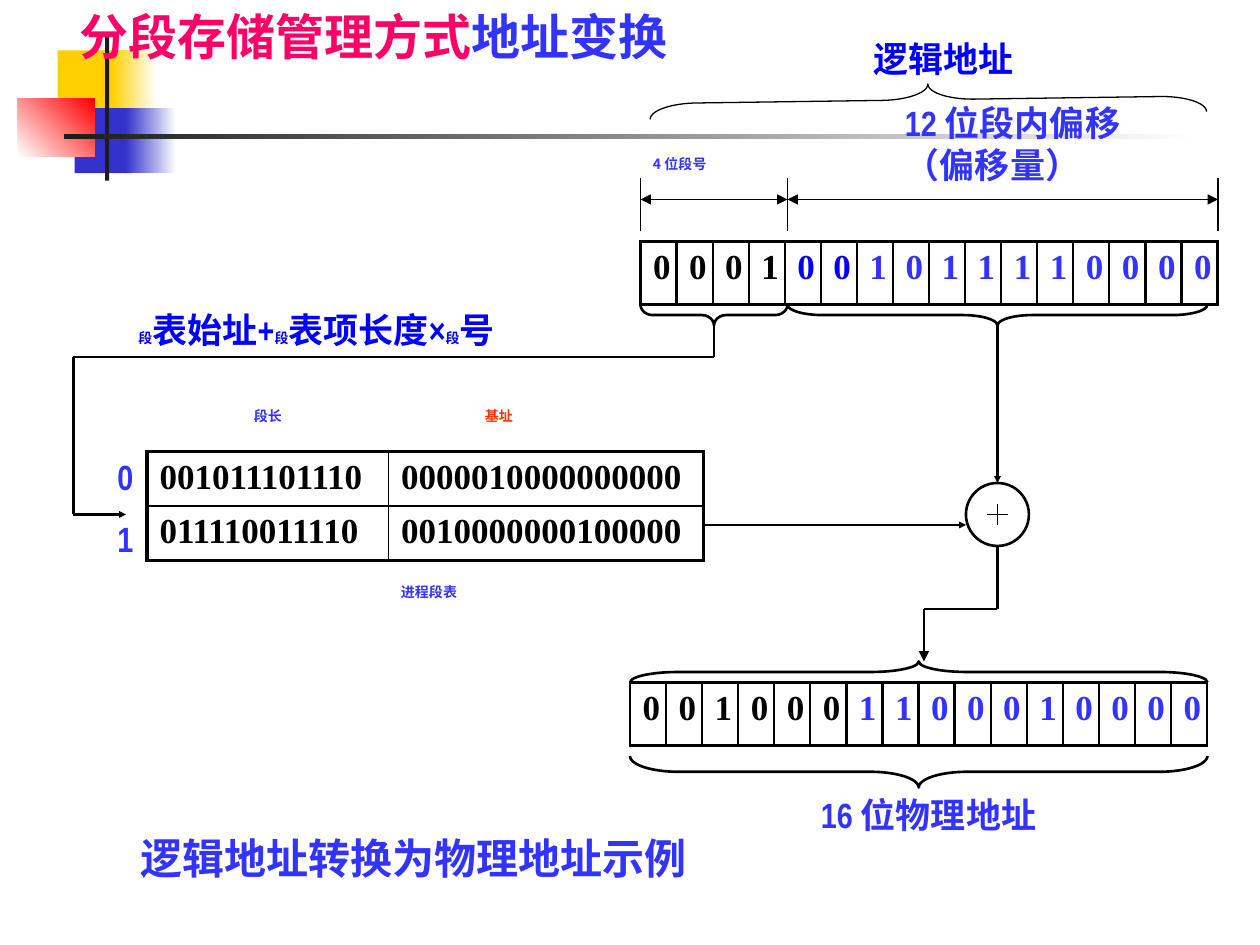
from lxml import etree
from pptx import Presentation
from pptx import util as u
from pptx.dml.color import RGBColor
from pptx.enum import shapes, text
from pptx.oxml.ns import qn

YELLOW = RGBColor(0xFF, 0xCF, 0x01)
NAVY = RGBColor(0x33, 0x33, 0xCC)
RED = RGBColor(0xFF, 0x00, 0x00)
WHITE = RGBColor(0xFF, 0xFF, 0xFF)
CHARCOAL = RGBColor(0x1C, 0x1C, 0x1C)
BLACK = RGBColor(0x00, 0x00, 0x00)
PINK = RGBColor(0xFF, 0x00, 0x66)
VIOLET = RGBColor(0x33, 0x33, 0xFF)
BLUE = RGBColor(0x00, 0x00, 0xFF)
ORANGE = RGBColor(0xFF, 0x33, 0x00)

NARROW, SERIF, HAN = "Arial Narrow", "Times New Roman", "Noto Sans CJK SC"
COLUMNS, ROWS = 120, 90


class SlideBuilder:
    def __init__(self, presentation):
        self.column = presentation.slide_width / COLUMNS
        self.row = presentation.slide_height / ROWS
        self.slide = presentation.slides.add_slide(presentation.slide_layouts[5])
        self.shapes = self.slide.shapes

    def box(self, left, top, width, height):
        return (u.Emu(round(left * self.column)), u.Emu(round(top * self.row)),
                u.Emu(round(width * self.column)), u.Emu(round(height * self.row)))

    def add_runs(self, paragraph, runs):
        for words, size, font, color in runs:
            run = paragraph.add_run()
            run.text = words
            run.font.size = u.Pt(size)
            run.font.bold = True
            run.font.color.rgb = color
            run.font.name = font
            east_asian = etree.SubElement(run.font._element, qn("a:ea"))
            east_asian.set("typeface", HAN)

    def title(self, place, runs):
        title = self.shapes.title
        title.left, title.top, title.width, title.height = self.box(*place)
        frame = title.text_frame
        frame.auto_size = text.MSO_AUTO_SIZE.NONE
        frame.vertical_anchor = text.MSO_ANCHOR.MIDDLE
        frame.paragraphs[0].alignment = text.PP_ALIGN.LEFT
        self.add_runs(frame.paragraphs[0], runs)
        title.element.getparent().append(title.element)

    def label(self, place, *lines, gap=0, spacing=None):
        frame = self.shapes.add_textbox(*self.box(*place)).text_frame
        frame.word_wrap = True
        for index, runs in enumerate(lines):
            paragraph = frame.add_paragraph() if index else frame.paragraphs[0]
            if index:
                paragraph.space_before = u.Pt(gap)
            if spacing:
                paragraph.line_spacing = spacing
            self.add_runs(paragraph, runs)

    def block(self, place, start, end=None, angle=0):
        shape = self.shapes.add_shape(shapes.MSO_SHAPE.RECTANGLE, *self.box(*place))
        shape.shadow.inherit = False
        shape.line.fill.background()
        if end is None:
            shape.fill.solid()
            shape.fill.fore_color.rgb = start
        else:
            shape.fill.gradient()
            shape.fill.gradient_angle = angle
            for stop, color in zip(shape.fill.gradient_stops, (start, end)):
                stop.color.rgb = color

    def outline(self, kind, place, width=1.5):
        shape = self.shapes.add_shape(kind, *self.box(*place))
        shape.shadow.inherit = False
        shape.fill.background()
        shape.line.color.rgb = BLACK
        shape.line.width = u.Pt(width)
        return shape

    def brace(self, left, top, length, depth, rotation,
              kind=shapes.MSO_SHAPE.LEFT_BRACE, width=1.5):
        shift = (length - depth) / 2
        shape = self.outline(kind, (left + shift, top - shift, depth, length), width)
        shape.rotation = rotation
        shape.adjustments[0] = length / depth / 12

    def circle(self, *place):
        shape = self.outline(shapes.MSO_SHAPE.OVAL, place)
        shape.fill.solid()
        shape.fill.fore_color.rgb = WHITE

    def line(self, start, end, width=1.5, head=None, tail=None):
        ends = self.box(*start, *end)
        connector = self.shapes.add_connector(shapes.MSO_CONNECTOR.STRAIGHT, *ends)
        connector.line.color.rgb = BLACK
        connector.line.width = u.Pt(width)
        properties = connector.line._get_or_add_ln()
        for tag, size in (("a:headEnd", head), ("a:tailEnd", tail)):
            if size:
                etree.SubElement(properties, qn(tag), type="triangle", w=size, len=size)
        etree.SubElement(connector.element.spPr, qn("a:effectLst"))

    def route(self, *points, tail=None):
        last = len(points) - 2
        for index, (start, end) in enumerate(zip(points, points[1:])):
            self.line(start, end, tail=tail if index == last else None)

    def table(self, place, rows, widths, colors, outer, inner):
        height, width = len(rows), len(widths)
        table = self.shapes.add_table(height, width, *self.box(*place)).table
        table.first_row = table.horz_banding = False
        for column, share in zip(table.columns, widths):
            column.width = u.Emu(round(share * self.column))
        for r, values in enumerate(rows):
            for c, value in enumerate(values):
                cell = table.cell(r, c)
                self.add_runs(cell.text_frame.paragraphs[0],
                              [(value, 20, SERIF, colors[c])])
                edges = {"L": c == 0, "R": c == width - 1,
                         "T": r == 0, "B": r == height - 1}
                self.border(cell, edges, outer, inner)
                cell.fill.background()

    def border(self, cell, edges, outer, inner):
        properties = cell._tc.get_or_add_tcPr()
        for side, is_outer in edges.items():
            weight = u.Pt(outer if is_outer else inner)
            edge = etree.SubElement(properties, qn("a:ln" + side), w=str(int(weight)))
            fill = etree.SubElement(edge, qn("a:solidFill"))
            etree.SubElement(fill, qn("a:srgbClr"), val=str(BLACK))

    def bits(self, left, top, digits, colors):
        self.table((left, top, 55, 6), [digits], [55 / 16] * 16, colors, 1.5, 1.5)


def main():
    presentation = Presentation()
    presentation.slide_width, presentation.slide_height = u.Inches(10), u.Inches(7.5)
    builder = SlideBuilder(presentation)

    builder.block((5.5, 4.8, 5.8, 6.2), YELLOW)
    builder.block((10.6, 4.8, 4.3, 6.2), YELLOW, WHITE)
    builder.block((7.1, 10.3, 5.5, 6.2), NAVY)
    builder.block((12, 10.3, 4.8, 6.2), NAVY, WHITE)
    builder.block((1.7, 9.4, 7.3, 5.5), WHITE, RED, 45)
    builder.block((10, 3.4, 0.4, 13.8), CHARCOAL)
    builder.block((6.1, 12.8, 108, 0.4), CHARCOAL, WHITE)
    builder.title((6.4, 0, 109, 6.8), [("分段存储管理方式", 28, "Arial", PINK),
                                       ("地址变换", 28, "Arial", VIOLET)])

    builder.bits(61, 23, "0001001011110000", [BLACK] * 4 + [BLUE] * 2 + [VIOLET] * 10)
    builder.bits(60, 65, "0010001100010000", [BLACK] * 6 + [VIOLET] * 10)
    builder.table((14, 43, 53, 10.4),
                  [("001011101110", "0000010000000000"),
                   ("011110011110", "0010000000100000")],
                  [23, 30], [BLACK] * 2, 2.25, 1)

    builder.brace(60, 63, 55, 2, 90)
    builder.brace(61, 29, 14, 2, 270)
    builder.brace(75, 29, 40, 2, 270)
    builder.brace(60, 72, 55, 3, 270)
    builder.brace(61.9, 8, 53, 3, 269.2, shapes.MSO_SHAPE.RIGHT_BRACE, 0.75)

    builder.route((68, 31), (68, 34), (7, 34), (7, 49), (12, 49), tail="sm")
    builder.route((67, 50), (70, 50), (92, 50), tail="sm")
    builder.route((95, 31), (95, 46), tail="sm")
    builder.route((95, 52), (95, 58), (88, 58), (88, 63), tail="med")
    builder.circle(92, 46, 6, 6)
    builder.line((94, 49), (96, 49), 0.75)
    builder.line((95, 48), (95, 50), 0.75)

    field_edges = (61, 75, 116)
    for column in field_edges:
        builder.line((column, 22), (column, 17), 1)
    for start, end in zip(field_edges, field_edges[1:]):
        builder.line((start, 19), (end, 19), 1, "med", "med")

    builder.label((10, 42.8, 6, 23.2), [("0", 20, NARROW, VIOLET)],
                  [("1", 20, NARROW, VIOLET)], gap=11.5)
    builder.label((61, 14.2, 15, 4.8), [("4 位段号", 8, HAN, VIOLET)])
    builder.label((85, 10.2, 29, 8.8), [("12 位段内偏移", 20, NARROW, VIOLET)],
                  [("（偏移量）", 20, NARROW, VIOLET)], gap=7, spacing=0.7)
    builder.label((77, 75, 33, 5.2), [("16 位物理地址", 20, NARROW, VIOLET)])
    builder.label((12.2, 78.7, 65, 6),
                  [("逻辑地址转换为物理地址示例", 24, NARROW, VIOLET)])
    builder.label((37, 55, 24, 4.8), [("进程", 8, NARROW, VIOLET),
                                      ("段", 8, HAN, VIOLET), ("表", 8, NARROW, VIOLET)])
    builder.label((23, 38.2, 9, 4.8), [("段长", 8, NARROW, VIOLET)])
    builder.label((45, 38.2, 14, 4.8), [("基址", 8, NARROW, ORANGE)])
    formula = [run for words in ("表始址+", "表项长度×", "号")
               for run in (("段", 8, HAN, BLUE), (words, 20, NARROW, BLUE))]
    builder.label((12, 28.8, 45, 5.2), formula)
    builder.label((82, 3, 24, 5.2), [("逻辑地址", 20, NARROW, BLUE)])

    presentation.save("out.pptx")


if __name__ == "__main__":
    main()
